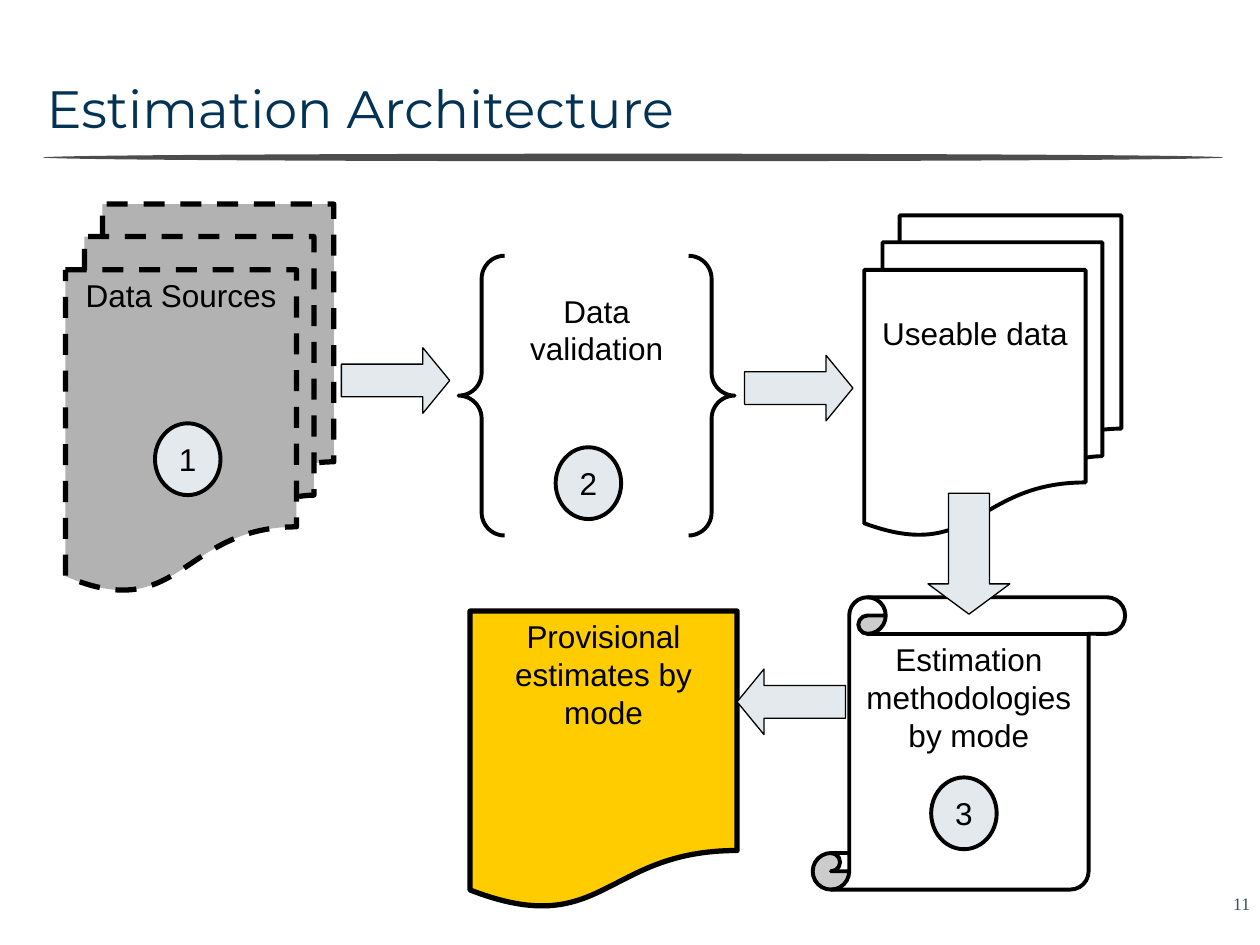
from pptx import Presentation
from pptx.dml.color import RGBColor
from pptx.enum.dml import MSO_LINE
from pptx.enum.shapes import MSO_SHAPE
from pptx.enum.text import MSO_ANCHOR, MSO_AUTO_SIZE, PP_ALIGN
from pptx.util import Inches, Pt

BLACK = RGBColor(0x00, 0x00, 0x00)
WHITE = RGBColor(0xFF, 0xFF, 0xFF)
RULE_GRAY = RGBColor(0x4D, 0x4D, 0x4D)
SOURCE_GRAY = RGBColor(0xB2, 0xB2, 0xB2)
PALE_BLUE = RGBColor(0xE3, 0xE9, 0xED)
GOLD = RGBColor(0xFF, 0xCC, 0x00)
NAVY = RGBColor(0x04, 0x32, 0x54)
SLATE = RGBColor(0x34, 0x51, 0x60)


class FlowSlide:
    body_font = "Arial"
    body_size = 18

    def __init__(self, presentation):
        self.slide = presentation.slides.add_slide(presentation.slide_layouts[5])

    def add_lines(self, frame, lines, align=PP_ALIGN.CENTER, font=body_font,
                  size=body_size, color=BLACK):
        for index, line in enumerate(lines):
            paragraph = frame.paragraphs[0] if index == 0 else frame.add_paragraph()
            paragraph.alignment = align
            run = paragraph.add_run()
            run.text = line
            run.font.name = font
            run.font.size = Pt(size)
            run.font.color.rgb = color

    def clear_margins(self, frame):
        frame.margin_left = frame.margin_right = 0
        frame.margin_top = frame.margin_bottom = 0

    def title(self, text, left, top, width, height):
        title = self.slide.shapes.title
        title.left, title.top = Inches(left), Inches(top)
        title.width, title.height = Inches(width), Inches(height)
        frame = title.text_frame
        self.clear_margins(frame)
        frame.auto_size = MSO_AUTO_SIZE.NONE
        frame.vertical_anchor = MSO_ANCHOR.BOTTOM
        self.add_lines(frame, [text], PP_ALIGN.LEFT, "Montserrat", 30, NAVY)
        frame.paragraphs[0].line_spacing = 0.9

    def shape(self, kind, left, top, width, height, fill, line_width=2.25,
              lines=(), anchor=MSO_ANCHOR.TOP, margin_top=0.05):
        shape = self.slide.shapes.add_shape(
            kind, Inches(left), Inches(top), Inches(width), Inches(height))
        shape.shadow.inherit = False
        shape.fill.solid()
        shape.fill.fore_color.rgb = fill
        if line_width:
            shape.line.color.rgb = BLACK
            shape.line.width = Pt(line_width)
        else:
            shape.line.fill.background()
        frame = shape.text_frame
        frame.word_wrap = True
        frame.vertical_anchor = anchor
        frame.margin_top = Inches(margin_top)
        self.add_lines(frame, lines)
        return shape

    def arrow(self, left, top, width=0.86, height=0.52, rotation=0, head=0.41):
        arrow = self.shape(MSO_SHAPE.RIGHT_ARROW, left, top, width, height,
                           PALE_BLUE, 0.75)
        arrow.adjustments[1] = head
        arrow.rotation = rotation

    def step_number(self, number, left, top):
        self.shape(MSO_SHAPE.OVAL, left, top, 0.52, 0.57, PALE_BLUE,
                   lines=[str(number)], anchor=MSO_ANCHOR.MIDDLE)

    def page_number(self, text, left, top, width, height):
        box = self.slide.shapes.add_textbox(
            Inches(left), Inches(top), Inches(width), Inches(height))
        frame = box.text_frame
        frame.word_wrap = True
        self.clear_margins(frame)
        self.add_lines(frame, [text], PP_ALIGN.RIGHT, "Times New Roman", 10, SLATE)


def main():
    presentation = Presentation()
    presentation.slide_width = Inches(10)
    presentation.slide_height = Inches(7.5)
    flow = FlowSlide(presentation)

    # Title and tapered rule
    flow.title("Estimation Architecture", 0.37, 0.66, 9.34, 0.45)
    flow.shape(MSO_SHAPE.OVAL, 0.34, 1.22, 9.37, 0.06, RULE_GRAY, 0)

    # Stages
    sources = flow.shape(MSO_SHAPE.FLOWCHART_MULTIDOCUMENT, 0.52, 1.62, 2.13, 3.07,
                         SOURCE_GRAY, 3, ["Data Sources"])
    sources.line.dash_style = MSO_LINE.DASH
    flow.shape(MSO_SHAPE.FLOWCHART_MULTIDOCUMENT, 6.86, 1.71, 2.04, 2.54,
               WHITE, lines=["Useable data"], margin_top=0.35)
    flow.shape(MSO_SHAPE.VERTICAL_SCROLL, 6.45, 4.74, 2.48, 2.32,
               WHITE, lines=["Estimation methodologies", "by mode"])
    flow.shape(MSO_SHAPE.DOUBLE_BRACE, 3.64, 2.03, 2.19, 2.22,
               WHITE, lines=["Data validation"])
    flow.shape(MSO_SHAPE.FLOWCHART_DOCUMENT, 3.73, 4.85, 2.12, 2.37,
               GOLD, 3, ["Provisional estimates by mode"])

    # Arrows between stages
    flow.arrow(2.71, 2.76)
    flow.arrow(5.91, 2.82)
    flow.arrow(5.85, 5.31, rotation=180)
    flow.arrow(7.21, 4.07, 0.96, 0.65, rotation=90, head=0.37)

    # Step numbers
    for number, (left, top) in enumerate([(1.23, 3.36), (4.41, 3.55), (7.39, 6.17)], 1):
        flow.step_number(number, left, top)

    flow.page_number("11", 9.3, 7.09, 0.62, 0.35)
    presentation.save("out.pptx")


if __name__ == "__main__":
    main()
